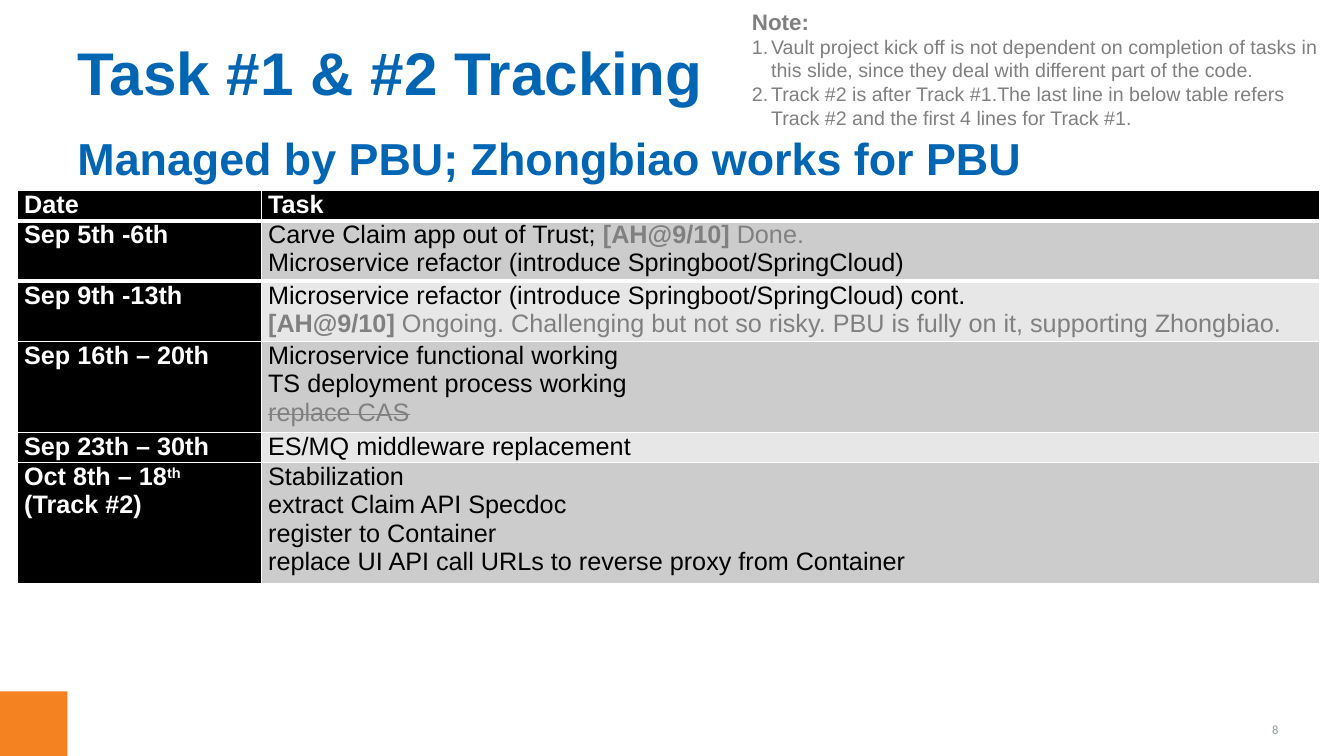
"""Build the Task #1 & #2 tracking slide."""
from lxml import etree
from pptx import Presentation
from pptx.dml.color import RGBColor
from pptx.enum.shapes import MSO_SHAPE
from pptx.enum.text import MSO_ANCHOR, PP_ALIGN
from pptx.oxml.ns import qn
from pptx.util import Inches, Pt

RECTANGLE = MSO_SHAPE.RECTANGLE
MIDDLE = MSO_ANCHOR.MIDDLE
LEFT, RIGHT = PP_ALIGN.LEFT, PP_ALIGN.RIGHT
BLUE, ORANGE, GREY, PAGE_GREY = "0066B3", "F58220", "808080", "949CA1"
BLACK, WHITE, BANDS = "000000", "FFFFFF", ("CCCCCC", "E7E7E7")


def color(hex_code):
    return RGBColor.from_string(hex_code)


def style(font, size, hex_code, bold=False, name="Arial"):
    font.name, font.size, font.bold = name, Pt(size), bold
    font.color.rgb = color(hex_code)


prs = Presentation()
prs.slide_width, prs.slide_height = Inches(13.33), Inches(7.5)
slide = prs.slides.add_slide(prs.slide_layouts[5])

corner = slide.shapes.add_shape(RECTANGLE, 0, Inches(6.86), Inches(0.67), Inches(0.64))
corner.shadow.inherit = False
corner.fill.solid()
corner.fill.fore_color.rgb = color(ORANGE)
corner.line.fill.background()

title = slide.shapes.title
title.left, title.top = Inches(0.67), Inches(0.31)
title.width, title.height = Inches(12), Inches(0.8)
title.text_frame.text = "Task #1 & #2 Tracking"
title.text_frame.vertical_anchor = MIDDLE
heading = title.text_frame.paragraphs[0]
heading.alignment = LEFT
style(heading.font, 43, BLUE, True)

page = slide.shapes.add_textbox(Inches(12.22), Inches(7.08), Inches(0.56), Inches(0.31))
page.text_frame.text = "8"
page.text_frame.word_wrap = True
page.text_frame.vertical_anchor = MIDDLE
page_number = page.text_frame.paragraphs[0]
page_number.alignment = RIGHT
style(page_number.font, 9, PAGE_GREY, name="Calibri")

subtitle = slide.shapes.add_textbox(Inches(0.67), Inches(1.25), Inches(12.11), Inches(0.5))
subtitle.text_frame.text = "Managed by PBU; Zhongbiao works for PBU"
subtitle.text_frame.word_wrap = True
style(subtitle.text_frame.paragraphs[0].font, 32, BLUE, True)

schedule = [
    (["Date"], ["Task"]),
    (["Sep 5th -6th"],
     [["Carve Claim app out of Trust;", " [AH@9/10]", " Done."],
      "Microservice refactor (introduce Springboot/SpringCloud)"]),
    (["Sep 9th -13th"],
     ["Microservice refactor (introduce Springboot/SpringCloud) cont.",
      ["", "[AH@9/10]", " Ongoing. Challenging but not so risky. "
       "PBU is fully on it, supporting Zhongbiao."]]),
    (["Sep 16th – 20th"],
     ["Microservice functional working", "TS deployment process working", "replace CAS"]),
    (["Sep 23th – 30th"], ["ES/MQ middleware replacement"]),
    (["Oct 8th – 18", "(Track #2)"],
     ["Stabilization", "extract Claim API Specdoc", "register to Container",
      "replace UI API call URLs to reverse proxy from Container"]),
]
tracking = slide.shapes.add_table(
    len(schedule), 2, Inches(0.17), Inches(1.89), Inches(12.92), Inches(0.3)).table
tracking.columns[0].width, tracking.columns[1].width = Inches(2.42), Inches(10.5)

for row, entry in enumerate(schedule):
    tracking.rows[row].height = Inches(0.05)
    for column, lines in enumerate(entry):
        label = row == 0 or column == 0
        cell = tracking.cell(row, column)
        cell.margin_left = cell.margin_right = Inches(0.07)
        cell.margin_top = cell.margin_bottom = 0
        cell.fill.solid()
        cell.fill.fore_color.rgb = color(BLACK if label else BANDS[(row - 1) % 2])
        if row < 2:
            edge = etree.Element(qn("a:lnT" if row else "a:lnB"), w=str(Pt(3)))
            edge_fill = etree.SubElement(edge, qn("a:solidFill"))
            etree.SubElement(edge_fill, qn("a:srgbClr"), val=WHITE)
            cell._tc.get_or_add_tcPr().insert(0, edge)
        for index, line in enumerate(lines):
            frame = cell.text_frame
            paragraph = frame.add_paragraph() if index else frame.paragraphs[0]
            style(paragraph.font, 18, WHITE if label else BLACK, label)
            if isinstance(line, str):
                paragraph.text = line
                continue
            for part, hex_code, bold in zip(line, (BLACK, GREY, GREY), (False, True, False)):
                if part:
                    run = paragraph.add_run()
                    run.text = part
                    style(run.font, 18, hex_code, bold)

dropped = tracking.cell(3, 1).text_frame.paragraphs[2]
style(dropped.font, 18, GREY)
dropped.runs[0].font._element.set("strike", "sngStrike")

ordinal = tracking.cell(5, 0).text_frame.paragraphs[0].add_run()
ordinal.text = "th"
ordinal.font._element.set("baseline", "30000")

note = slide.shapes.add_textbox(Inches(7.36), Inches(0.03), Inches(5.94), Inches(1.39))
note.text_frame.word_wrap = True
note.text_frame.text = "Note:"
style(note.text_frame.paragraphs[0].font, 16, GREY, True)
for remark in (
    "Vault project kick off is not dependent on completion of tasks in this slide, "
    "since they deal with different part of the code.",
    "Track #2 is after Track #1.The last line in below table refers Track #2 "
    "and the first 4 lines for Track #1.",
):
    item = note.text_frame.add_paragraph()
    item.text = remark
    properties = item._p.get_or_add_pPr()
    properties.set("marL", str(Inches(0.19)))
    properties.set("indent", str(-Inches(0.19)))
    etree.SubElement(properties, qn("a:buAutoNum"), type="arabicPeriod")
    style(item.font, 14, GREY)

prs.save("out.pptx")
